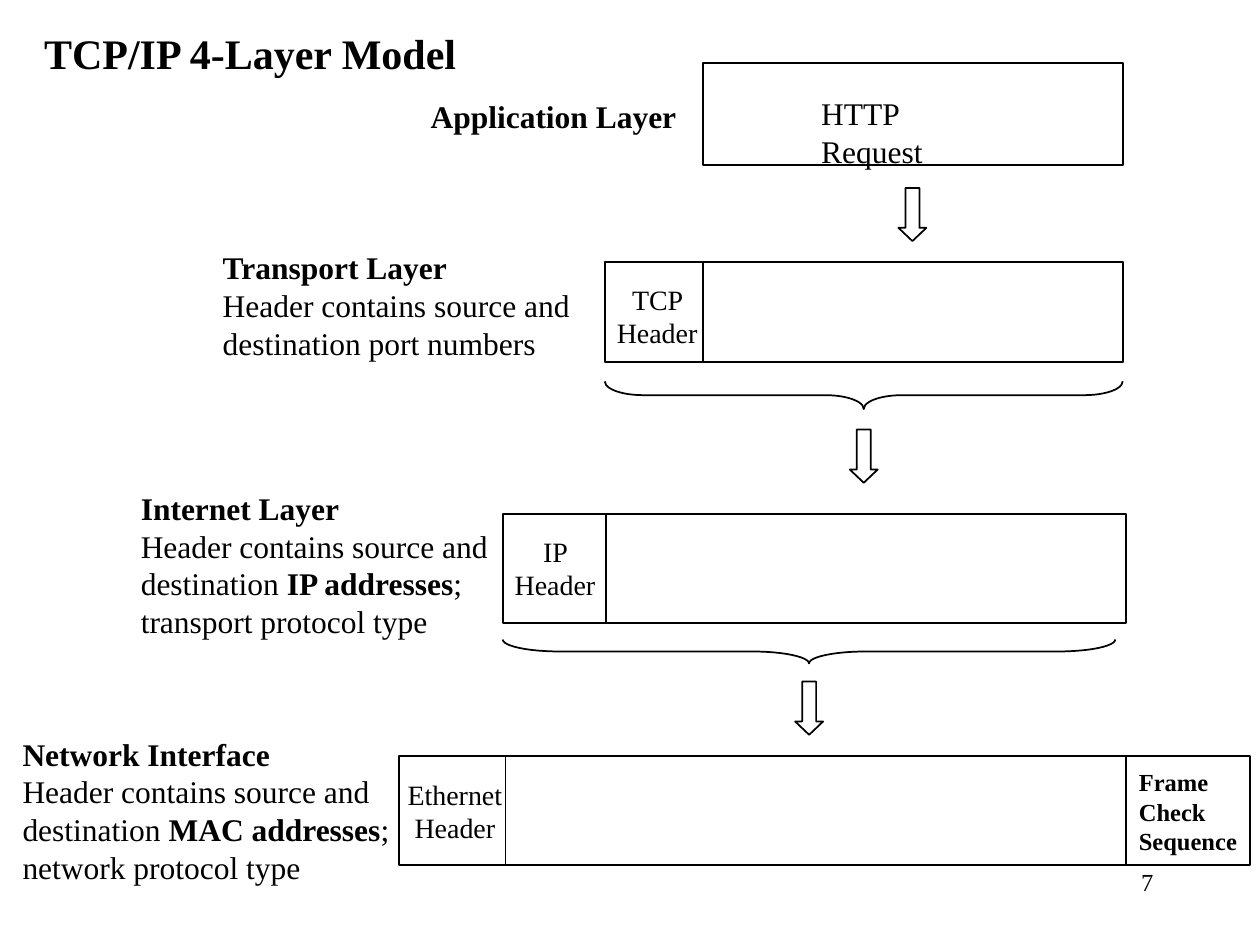
from dataclasses import dataclass

from lxml.etree import SubElement
from pptx import Presentation
from pptx.dml.color import RGBColor
from pptx.enum.shapes import MSO_CONNECTOR, MSO_SHAPE
from pptx.enum.text import MSO_ANCHOR, MSO_AUTO_SIZE, PP_ALIGN
from pptx.oxml.ns import qn
from pptx.util import Pt


@dataclass(frozen=True)
class Theme:
    ink: RGBColor = RGBColor(0, 0, 0)
    font: str = "Times New Roman"
    title: int = 24
    label: int = 18
    header: int = 16
    small: int = 14
    line: int = 1


@dataclass(frozen=True)
class Area:
    left: float
    top: float
    width: float
    height: float

    def lengths(self) -> tuple:
        return tuple(Pt(value) for value in (self.left, self.top, self.width, self.height))


@dataclass(frozen=True)
class Span:
    text: str
    bold: bool = False


@dataclass(frozen=True)
class Label:
    area: Area
    paragraphs: tuple[tuple[Span, ...], ...]
    size: int
    align: PP_ALIGN = PP_ALIGN.LEFT
    wrap: bool = True


@dataclass(frozen=True)
class Packet:
    area: Area
    dividers: tuple[float, ...] = ()


@dataclass(frozen=True)
class Brace:
    area: Area
    curve: float


THEME = Theme()

PACKETS = (
    Packet(Area(401.8, 36, 240, 58.5)),
    Packet(Area(345.6, 149.6, 296, 57.4), (401.8,)),
    Packet(Area(287.3, 293.6, 356, 62.4), (346.3,)),
    Packet(Area(228.2, 432, 486, 62.4), (288.9, 643.5)),
)

ARROWS = ((521.4, 107.4), (493.6, 245.5), (462.4, 389.5))
ARROW_WIDTH, ARROW_HEIGHT = 16, 30.4

BRACES = (
    Brace(Area(345.6, 217.9, 296, 15.8), 1.386),
    Brace(Area(287.3, 365.4, 350, 13.7), 2.392),
)

TITLE = Label(Area(18, 12.2, 252, 36), ((Span("TCP/IP 4-Layer Model", True),),),
              THEME.title, wrap=False)

LABELS = (
    Label(Area(462.2, 50.4, 119, 29), ((Span("HTTP Request"),),), THEME.label),
    Label(Area(338.4, 157.7, 74.2, 45.4), ((Span("TCP Header"),),),
          THEME.header, PP_ALIGN.CENTER),
    Label(Area(281.5, 301.7, 71.3, 46), ((Span("IP Header"),),),
          THEME.header, PP_ALIGN.CENTER),
    Label(Area(218.2, 440.6, 83.5, 45.4), ((Span("Ethernet Header"),),),
          THEME.header, PP_ALIGN.CENTER),
    Label(Area(643.7, 434.9, 72, 58.3), ((Span("Frame Check Sequence", True),),),
          THEME.small),
    Label(Area(516.2, 491.8, 150, 36), ((Span("7"),),), THEME.small, PP_ALIGN.RIGHT),
    Label(Area(239, 51.8, 156.2, 29), ((Span("Application Layer", True),),),
          THEME.label, wrap=False),
    Label(Area(120.2, 138.2, 224.6, 72.7), (
        (Span("Transport Layer", True),),
        (Span("Header contains source and destination port numbers"),),
    ), THEME.label),
    Label(Area(73.4, 275.8, 213.1, 94.3), (
        (Span("Internet Layer", True),),
        (Span("Header contains source and destination "), Span("IP addresses", True),
         Span("; transport protocol type")),
    ), THEME.label),
    Label(Area(5.8, 416.2, 233.3, 94.3), (
        (Span("Network Interface", True),),
        (Span("Header contains source and destination "), Span("MAC addresses", True),
         Span("; network protocol type")),
    ), THEME.label),
)


def apply(target, values: dict) -> None:
    for name, value in values.items():
        setattr(target, name, value)


def draw_outline(page, kind: MSO_SHAPE, area: Area, adjustments: tuple = ()):
    shape = page.shapes.add_shape(kind, *area.lengths())
    shape.shadow.inherit = False
    shape.fill.background()
    shape.line.color.rgb = THEME.ink
    shape.line.width = Pt(THEME.line)
    for index, value in enumerate(adjustments):
        shape.adjustments[index] = value
    return shape


def draw_packet(page, packet: Packet) -> None:
    area = packet.area
    draw_outline(page, MSO_SHAPE.RECTANGLE, area)
    for left in packet.dividers:
        divider = page.shapes.add_connector(
            MSO_CONNECTOR.STRAIGHT, Pt(left), Pt(area.top), Pt(left), Pt(area.top + area.height))
        divider.line.color.rgb = THEME.ink
        divider.line.width = Pt(THEME.line)
        SubElement(divider._element.spPr, qn("a:effectLst"))


def draw_brace(page, brace: Brace) -> None:
    area = brace.area
    shift = (area.width - area.height) / 2
    upright = Area(area.left + shift, area.top - shift, area.height, area.width)
    shape = draw_outline(page, MSO_SHAPE.LEFT_BRACE, upright, (brace.curve, 0.5))
    shape.rotation = 270


def fill_text(box, label: Label) -> None:
    places = ("left", "top", "width", "height")
    apply(box, dict(zip(places, label.area.lengths())))
    frame = box.text_frame
    apply(frame, {
        "word_wrap": label.wrap,
        "auto_size": MSO_AUTO_SIZE.SHAPE_TO_FIT_TEXT,
        "vertical_anchor": MSO_ANCHOR.TOP,
    })
    for index, spans in enumerate(label.paragraphs):
        para = frame.add_paragraph() if index else frame.paragraphs[0]
        para.alignment = label.align
        for span in spans:
            run = para.add_run()
            run.text = span.text
            apply(run.font, {"name": THEME.font, "size": Pt(label.size), "bold": span.bold})
            run.font.color.rgb = THEME.ink


def main() -> None:
    deck = Presentation()
    apply(deck, {"slide_width": Pt(720), "slide_height": Pt(540)})
    page = deck.slides.add_slide(deck.slide_layouts[5])
    fill_text(page.shapes.title, TITLE)
    for packet in PACKETS:
        draw_packet(page, packet)
    for left, top in ARROWS:
        draw_outline(page, MSO_SHAPE.DOWN_ARROW,
                     Area(left - ARROW_WIDTH / 2, top, ARROW_WIDTH, ARROW_HEIGHT), (0.5, 0.474))
    for brace in BRACES:
        draw_brace(page, brace)
    for label in LABELS:
        fill_text(page.shapes.add_textbox(*label.area.lengths()), label)
    deck.save("out.pptx")


if __name__ == "__main__":
    main()
